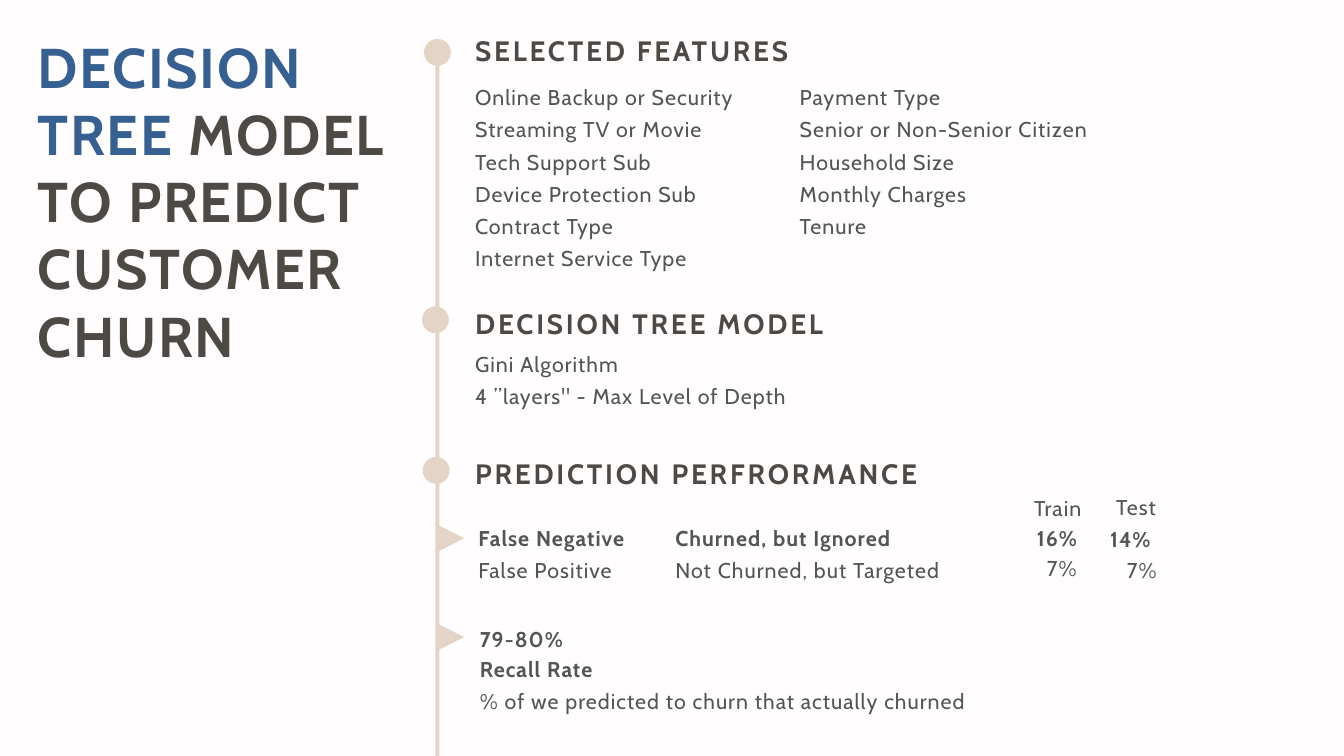
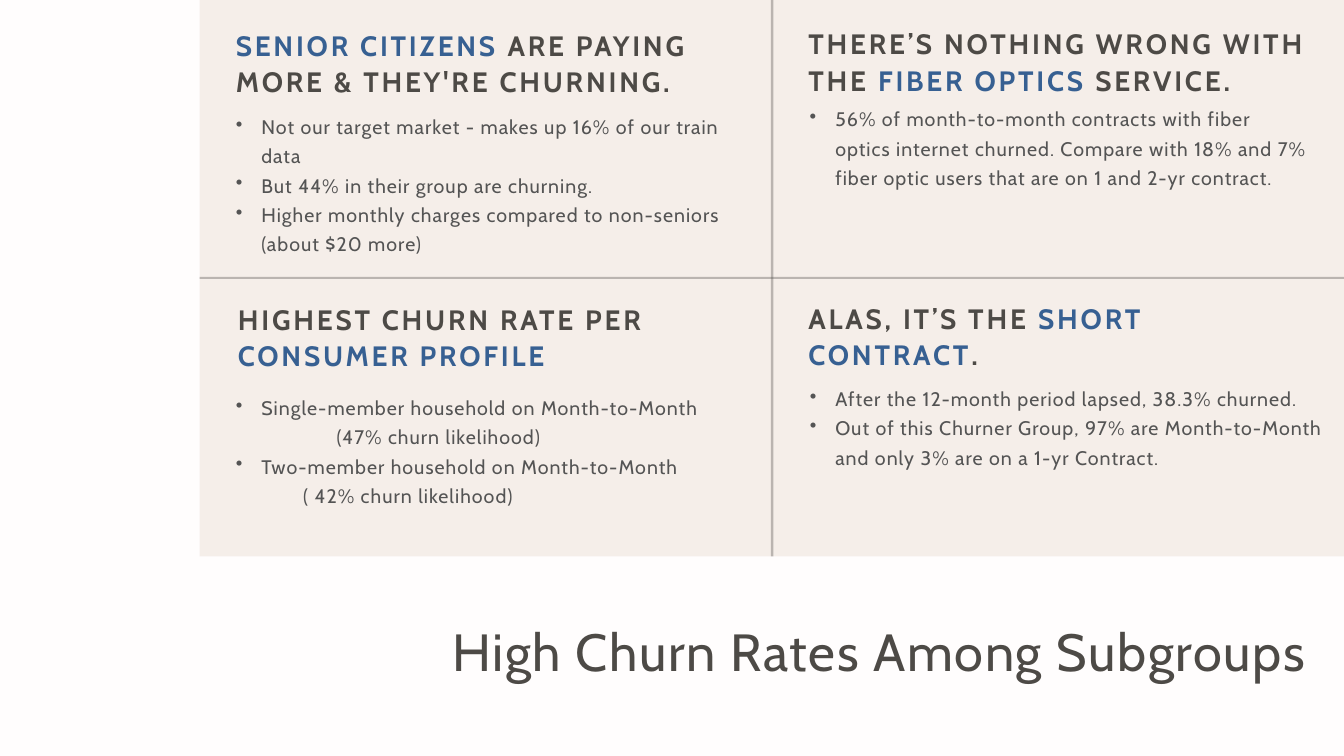
import pptx
import pptx.dml.color
import pptx.enum.shapes
import pptx.enum.text
import pptx.oxml
import pptx.oxml.ns
import pptx.util
from pptx.util import Inches

COLORS = {
    "background": "FFFDFD",
    "blue": "376092",
    "dark": "4D4A46",
    "gray": "545454",
    "sand": "E4D4C5",
}
FONT = "Cabin"
PRESET = pptx.enum.shapes.MSO_SHAPE
ALIGN = pptx.enum.text.PP_ALIGN

ACCENT = {"color": "blue"}
STRONG = {"bold": True}
HEADING = {"size": 30, "color": "dark", "bold": True, "spacing": 3, "leading": 39}
BODY = {"size": 22.9, "color": "gray", "spacing": 1.1, "leading": 34.4}
BULLETS = {"size": 21, "color": "gray", "spacing": 1.1, "leading": 31.5, "bullet": True}
MAIN_TITLE = {"size": 60, "color": "dark", "bold": True, "spacing": 1.8, "leading": 72}
CLOSING_TITLE = {"size": 56, "color": "dark", "spacing": 1.7, "leading": 72.8, "align": ALIGN.RIGHT}


def rgb(name):
    return pptx.dml.color.RGBColor.from_string(COLORS[name])


def format_run(run, size, color, bold, spacing):
    run.font.name = FONT
    run.font.size = pptx.util.Pt(size)
    run.font.bold = bold
    run.font.color.rgb = rgb(color)
    run._r.get_or_add_rPr().set("spc", str(round(spacing * 100)))


def write_text(frame, paragraphs, size, color, spacing, leading,
               bold=False, bullet=False, align=ALIGN.LEFT):
    frame.word_wrap = True
    frame.auto_size = pptx.enum.text.MSO_AUTO_SIZE.NONE
    frame.vertical_anchor = pptx.enum.text.MSO_ANCHOR.TOP
    frame.margin_left = frame.margin_right = frame.margin_top = frame.margin_bottom = 0
    for index, content in enumerate(paragraphs):
        paragraph = frame.paragraphs[0] if index == 0 else frame.add_paragraph()
        paragraph.alignment = align
        paragraph.line_spacing = pptx.util.Pt(leading)
        runs = [(content, {})] if isinstance(content, str) else content
        indent = runs[0][1].get("indent")
        if indent is not None:
            set_indent(paragraph, indent)
        elif bullet:
            set_indent(paragraph, 0.38, -0.38, "•")
        for text, changes in runs:
            run = paragraph.add_run()
            run.text = text
            format_run(run, size, changes.get("color", color), changes.get("bold", bold), spacing)


def set_indent(paragraph, left, first=0, mark=None):
    properties = paragraph._p.get_or_add_pPr()
    properties.set("marL", str(Inches(left)))
    properties.set("indent", str(Inches(first)))
    if mark:
        properties.append(pptx.oxml.parse_xml(
            f'<a:buChar {pptx.oxml.ns.nsdecls("a")} char="{mark}"/>'))


class Deck:
    def __init__(self):
        self.presentation = pptx.Presentation()
        self.presentation.slide_width = Inches(20)
        self.presentation.slide_height = Inches(11.25)
        self.slide = None

    def add_slide(self, title, left, top, width, height, **style):
        self.slide = self.presentation.slides.add_slide(self.presentation.slide_layouts[5])
        fill = self.slide.background.fill
        fill.solid()
        fill.fore_color.rgb = rgb("background")
        shape = self.slide.shapes.title
        shape.left, shape.top = Inches(left), Inches(top)
        shape.width, shape.height = Inches(width), Inches(height)
        write_text(shape.text_frame, [title], **style)

    def text(self, left, top, width, height, *paragraphs, **style):
        box = self.slide.shapes.add_textbox(
            Inches(left), Inches(top), Inches(width), Inches(height))
        write_text(box.text_frame, paragraphs, **style)

    def shape(self, preset, left, top, width, height, color, opacity=100, rotation=0):
        shape = self.slide.shapes.add_shape(
            preset, Inches(left), Inches(top), Inches(width), Inches(height))
        shape.shadow.inherit = False
        shape.rotation = rotation
        shape.line.fill.background()
        shape.fill.solid()
        shape.fill.fore_color.rgb = rgb(color)
        if opacity < 100:
            color_element = shape._element.spPr.find(".//" + pptx.oxml.ns.qn("a:srgbClr"))
            color_element.append(pptx.oxml.parse_xml(
                f'<a:alpha {pptx.oxml.ns.nsdecls("a")} val="{opacity * 1000}"/>'))


def build_model_slide(deck):
    deck.add_slide(
        [("DECISION TREE ", ACCENT), ("MODEL TO PREDICT CUSTOMER CHURN", {})],
        0.56, 0.48, 5.44, 5.01, **MAIN_TITLE)

    deck.shape(PRESET.RECTANGLE, 6.48, 0.79, 0.06, 10.46, "sand")
    for left, top in ((6.31, 0.58), (6.28, 4.56), (6.29, 6.8)):
        deck.shape(PRESET.OVAL, left, top, 0.4, 0.4, "sand")
    for top in (7.81, 9.28):
        deck.shape(PRESET.FLOWCHART_MERGE, 6.51, top, 0.4, 0.4, "sand", rotation=270)

    for top, heading in ((0.46, "SELECTED FEATURES"),
                         (4.52, "DECISION TREE MODEL"),
                         (6.75, "PREDICTION PERFRORMANCE")):
        deck.text(7.07, top, 9.02, 0.53, heading, **HEADING)

    deck.text(7.07, 1.16, 4.83, 2.85,
              "Online Backup or Security", "Streaming TV or Movie", "Tech Support Sub",
              "Device Protection Sub", "Contract Type", "Internet Service Type", **BODY)
    deck.text(11.9, 1.16, 4.83, 2.85,
              "Payment Type", "Senior or Non-Senior Citizen", "Household Size",
              "Monthly Charges", "Tenure", **BODY)
    deck.text(7.07, 5.13, 7.49, 0.93,
              "Gini Algorithm", "4 ”layers\" - Max Level of Depth", **BODY)

    deck.text(7.12, 7.72, 2.9, 0.93, [("False Negative", STRONG)], "False Positive", **BODY)
    for left, top, width, label, changes in (
            (10.05, 7.72, 4.83, "Churned, but Ignored", STRONG),
            (10.05, 8.2, 4.83, "Not Churned, but Targeted", {}),
            (15.39, 7.27, 1.23, "Train", {}),
            (16.61, 7.26, 1.23, "Test", {}),
            (15.43, 7.72, 1.23, "16%", STRONG),
            (16.52, 7.73, 1.23, "14%", STRONG),
            (15.58, 8.17, 1.23, "7%", {}),
            (16.77, 8.19, 1.23, "7%", {}),
            (7.14, 9.22, 2.18, "79-80%", STRONG)):
        deck.text(left, top, width, 0.44, [(label, changes)], **BODY)
    deck.text(7.14, 9.67, 7.49, 1.39, [("Recall Rate", STRONG)],
              "% of we predicted to churn that actually churned", **BODY)


def build_subgroups_slide(deck):
    deck.add_slide("High Churn Rates Among Subgroups", 3.58, 9.14, 15.86, 0.98, **CLOSING_TITLE)

    deck.shape(PRESET.RECTANGLE, 2.97, 0, 17.03, 8.28, "sand", opacity=35)
    deck.shape(PRESET.RECTANGLE, 11.47, 0, 0.04, 8.28, "dark", opacity=35)
    deck.shape(PRESET.RECTANGLE, 2.97, 4.12, 17.03, 0.03, "dark", opacity=35)

    for left, top, heading in (
            (3.51, 0.38, [("SENIOR CITIZENS ", ACCENT),
                          ("ARE PAYING MORE & THEY'RE CHURNING.", {})]),
            (12.03, 0.36, [("THERE’S NOTHING WRONG WITH THE ", {}),
                           ("FIBER OPTICS ", ACCENT), ("SERVICE.", {})]),
            (3.54, 4.46, [("HIGHEST CHURN RATE PER ", {}), ("CONSUMER PROFILE", ACCENT)]),
            (12.03, 4.44, [("ALAS, IT’S THE ", {}), ("SHORT CONTRACT", ACCENT), (".", {})])):
        deck.text(left, top, 7.44, 1.06, heading, **HEADING)

    deck.text(3.51, 1.62, 7.44, 2.2,
              "Not our target market - makes up 16% of our train data",
              "But 44% in their group are churning.",
              "Higher monthly charges compared to non-seniors (about $20 more)", **BULLETS)
    deck.text(12.05, 1.51, 7.44, 1.75,
              "56% of month-to-month contracts with fiber optics internet churned. "
              "Compare with 18% and 7% fiber optic users that are on 1 and 2-yr contract.",
              **BULLETS)
    deck.text(3.51, 5.8, 7.92, 1.75,
              "Single-member household on Month-to-Month",
              [("(47% churn likelihood)", {"indent": 1.5})],
              "Two-member household on Month-to-Month",
              [("( 42% churn likelihood)", {"indent": 1})], **BULLETS)
    deck.text(12.05, 5.67, 7.92, 1.31,
              "After the 12-month period lapsed, 38.3% churned.",
              "Out of this Churner Group, 97% are Month-to-Month and only 3% are on a 1-yr Contract.",
              **BULLETS)


def main():
    deck = Deck()
    build_model_slide(deck)
    build_subgroups_slide(deck)
    deck.presentation.save("out.pptx")


if __name__ == "__main__":
    main()
